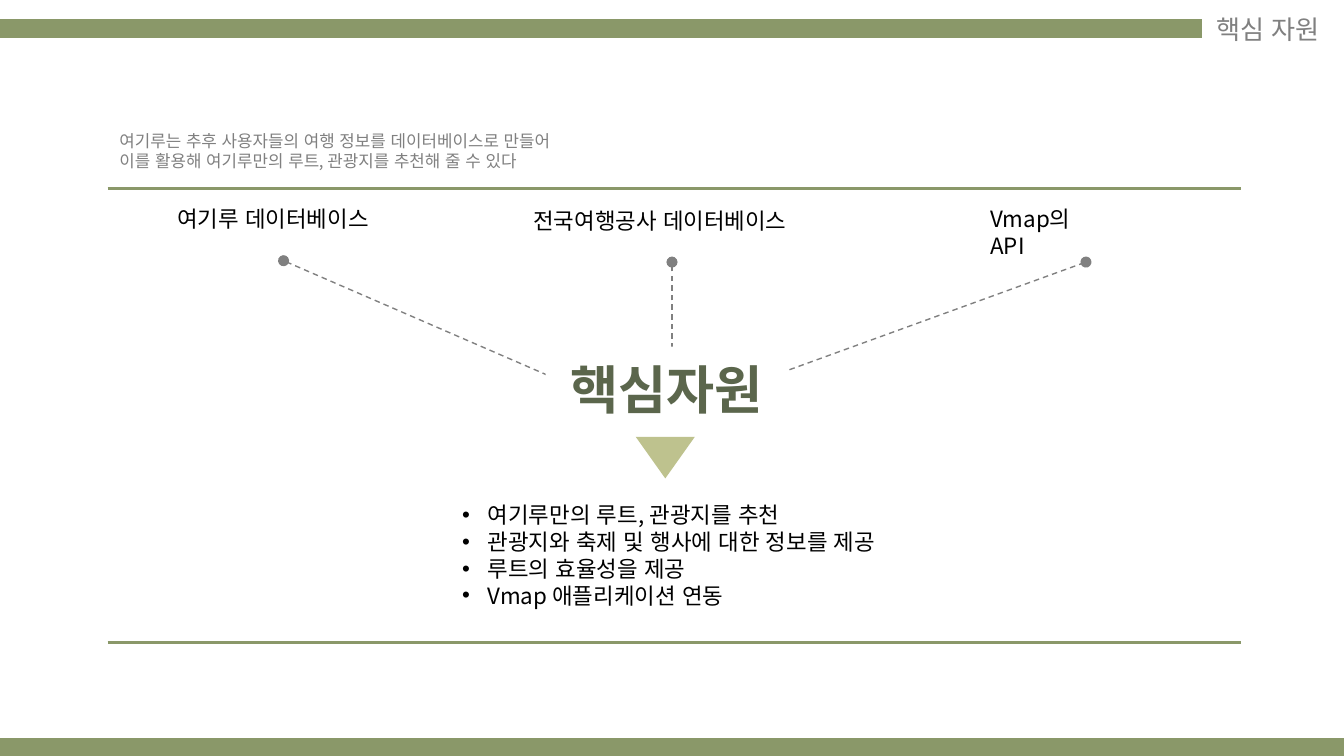
from lxml.etree import SubElement
from pptx import Presentation
from pptx.dml.color import RGBColor
from pptx.enum.dml import MSO_LINE
from pptx.enum.lang import MSO_LANGUAGE_ID
from pptx.enum.shapes import MSO_CONNECTOR, MSO_SHAPE
from pptx.enum.text import MSO_ANCHOR, PP_ALIGN
from pptx.oxml.ns import qn
from pptx.util import Inches, Pt

GREEN = RGBColor(0x8A, 0x98, 0x69)
DARK_GREEN = RGBColor(0x5B, 0x66, 0x4C)
LIGHT_GREEN = RGBColor(0xBE, 0xC2, 0x8E)
GRAY = RGBColor(0x80, 0x80, 0x80)
BLACK = RGBColor(0, 0, 0)
WHITE = RGBColor(0xFF, 0xFF, 0xFF)


class ResourcePage:
    font_name = "Noto Sans CJK KR"

    def __init__(self, page):
        self.page = page

    def style(self, para, size, color, bold=False):
        font = para.font
        font.size = Pt(size)
        font.bold = bold
        font.color.rgb = color
        font.name = self.font_name
        font.language_id = MSO_LANGUAGE_ID.KOREAN
        defaults = para._p.get_or_add_pPr().find(qn("a:defRPr"))
        defaults.set("kern", "0")
        SubElement(defaults, qn("a:ea"), typeface=self.font_name)

    def add_bullet(self, para):
        properties = para._p.get_or_add_pPr()
        indent = Inches(0.19)
        properties.set("marL", str(indent))
        properties.set("indent", str(-indent))
        SubElement(properties, qn("a:buFont"), typeface="Arial")
        SubElement(properties, qn("a:buChar"), char="•")

    def text(self, place, lines, size, color, bullets=False, wrap=False):
        box = self.page.shapes.add_textbox(*map(Inches, place))
        frame = box.text_frame
        frame.word_wrap = wrap
        frame.text = "\n".join(lines)
        for para in frame.paragraphs:
            if bullets:
                self.add_bullet(para)
            self.style(para, size, color)

    def line(self, start, end, color, width):
        connector = self.page.shapes.add_connector(
            MSO_CONNECTOR.STRAIGHT, *map(Inches, start + end))
        connector.line.color.rgb = color
        connector.line.width = Pt(width)
        SubElement(connector._element.spPr, qn("a:effectLst"))
        return connector

    def dotted_link(self, start, end):
        line = self.line(start, end, GRAY, 0.75).line
        line.dash_style = MSO_LINE.DASH
        for tip in ("a:headEnd", "a:tailEnd"):
            SubElement(line._get_or_add_ln(), qn(tip), type="oval")

    def shape(self, kind, place, color):
        shape = self.page.shapes.add_shape(kind, *map(Inches, place))
        shape.shadow.inherit = False
        shape.fill.solid()
        shape.fill.fore_color.rgb = color
        shape.line.fill.background()
        return shape

    def title_block(self, place, words):
        frame = self.shape(MSO_SHAPE.RECTANGLE, place, WHITE).text_frame
        frame.vertical_anchor = MSO_ANCHOR.MIDDLE
        frame.text = words
        para = frame.paragraphs[0]
        para.alignment = PP_ALIGN.CENTER
        self.style(para, 28, DARK_GREEN, bold=True)


def main():
    deck = Presentation()
    deck.slide_width = Inches(10)
    deck.slide_height = deck.slide_width * 9 // 16
    page = ResourcePage(deck.slides.add_slide(deck.slide_layouts[6]))

    for right, y in ((8.94, 0.21), (10, 5.56)):
        page.line((0, y), (right, y), GREEN, 10)
    for y in (1.4, 4.78):
        page.line((0.8, y), (9.23, y), GREEN, 1.5)

    page.text((8.95, 0.05, 1.05, 0.34), ["핵심 자원"], 14, GRAY)
    page.text((0.79, 0.92, 3.77, 0.4), [
        "여기루는 추후 사용자들의 여행 정보를 데이터베이스로 만들어",
        "이를 활용해 여기루만의 루트, 관광지를 추천해 줄 수 있다",
    ], 9, GRAY)

    page.text((1.22, 1.48, 1.78, 0.3), ["여기루 데이터베이스"], 12, BLACK)
    page.text((3.87, 1.49, 2.28, 0.3), ["전국여행공사 데이터베이스"], 12, BLACK)
    page.text((7.27, 1.48, 1.05, 0.3), ["Vmap의 API"], 12, BLACK, wrap=True)

    for start, end in (((4.83, 3.12), (2.11, 1.94)),
                       ((5, 3.13), (5, 1.95)),
                       ((4.83, 3.13), (8.08, 1.95))):
        page.dotted_link(start, end)

    page.title_block((4.06, 2.58, 1.8, 0.63), "핵심자원")
    arrow = page.shape(MSO_SHAPE.ISOSCELES_TRIANGLE,
                       (4.73, 3.25, 0.44, 0.31), LIGHT_GREEN)
    arrow.rotation = 180

    page.text((3.34, 3.68, 3.61, 0.91), [
        "여기루만의 루트, 관광지를 추천",
        "관광지와 축제 및 행사에 대한 정보를 제공",
        "루트의 효율성을 제공",
        "Vmap 애플리케이션 연동",
    ], 12, BLACK, bullets=True)

    deck.save("out.pptx")


if __name__ == "__main__":
    main()
